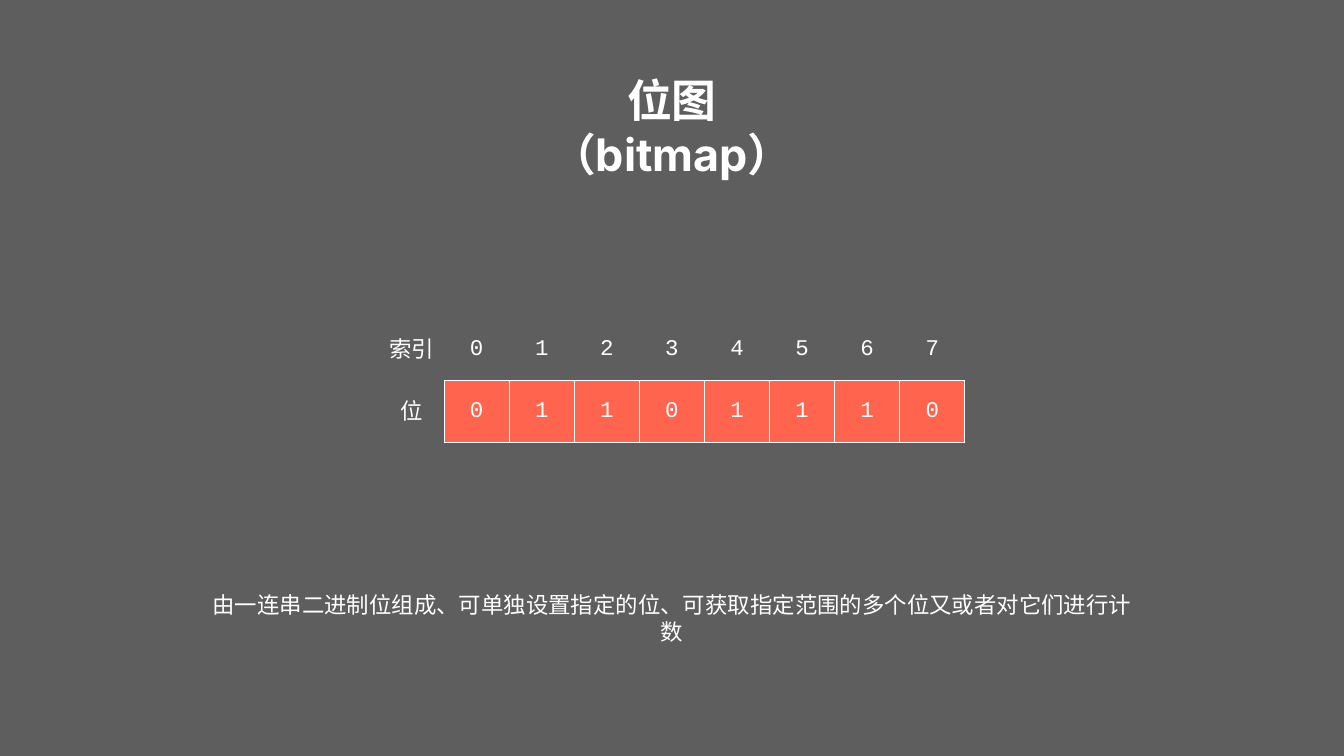
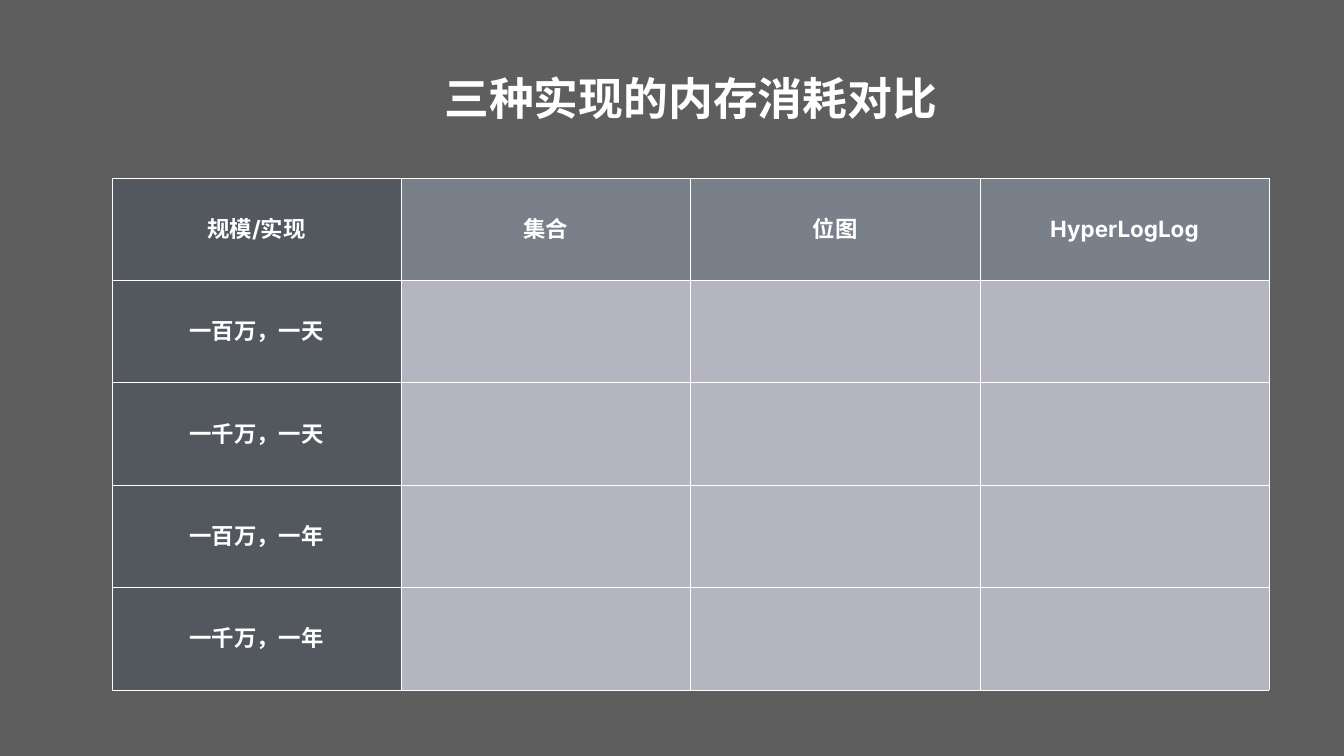
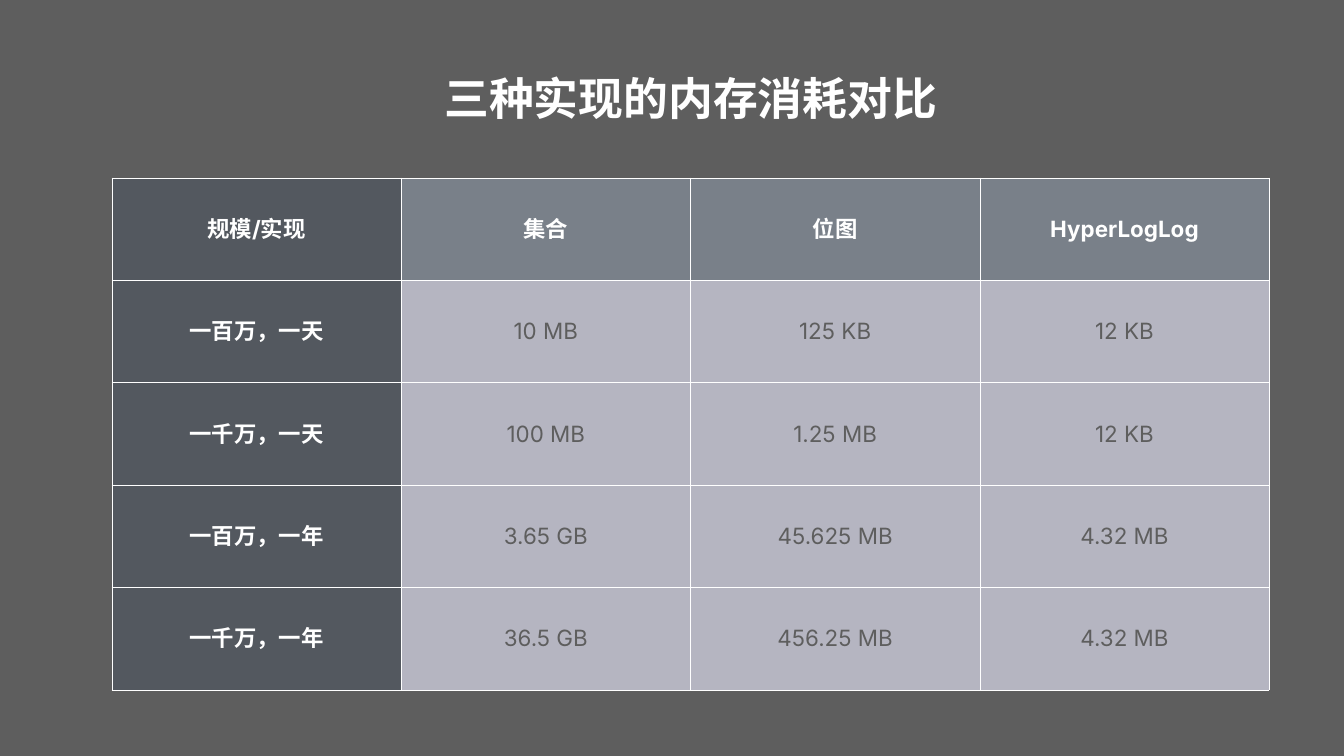
from dataclasses import dataclass

from pptx import Presentation
from pptx.dml.color import RGBColor
from pptx.enum.text import MSO_ANCHOR, MSO_AUTO_SIZE, PP_ALIGN
from pptx.oxml.ns import qn
from pptx.util import Cm, Pt
from lxml.etree import SubElement

# Content
BITMAP_TITLE = "位图（bitmap）"
BITMAP_ROWS = [
    ("索引", list("01234567")),
    ("位", list("01101110")),
]
BITMAP_CAPTION = "由一连串二进制位组成、可单独设置指定的位、可获取指定范围的多个位又或者对它们进行计数"

MEMORY_TITLE = "三种实现的内存消耗对比"
MEMORY_HEADER = ["规模/实现", "集合", "位图", "HyperLogLog"]
MEMORY_USAGE = {
    "一百万，一天": ["10 MB", "125 KB", "12 KB"],
    "一千万，一天": ["100 MB", "1.25 MB", "12 KB"],
    "一百万，一年": ["3.65 GB", "45.625 MB", "4.32 MB"],
    "一千万，一年": ["36.5 GB", "456.25 MB", "4.32 MB"],
}


# Theme
@dataclass(frozen=True)
class Theme:
    background: str = "5E5E5E"
    text: str = "FFFFFF"
    value_text: str = "5E5E5E"
    border: str = "FFFFFF"
    bit: str = "FF644E"
    header: str = "798089"
    row_label: str = "53585F"
    value: str = "B5B5C1"
    font: str = "Inter"
    digit_font: str = "Courier New"
    title_size: int = 64
    body_size: int = 32
    inset: float = 0.14
    border_width: float = 1


THEME = Theme()
SIDES = {"left": "a:lnL", "right": "a:lnR", "top": "a:lnT", "bottom": "a:lnB"}

# Positions in centimetres: left, top, width, height
BITMAP_TITLE_BOX = (25.45, 4.65, 16.81, 3.45)
BITMAP_CAPTION_BOX = (10.01, 30.2, 47.73, 1.88)
MEMORY_TITLE_BOX = (22.23, 3.18, 25.15, 3.45)
BITMAP_ORIGIN, BITMAP_CELL = (19.1, 16.05), (3.28, 3.11)
MEMORY_ORIGIN, MEMORY_CELL = (5.64, 8.97), (14.58, 5.16)


# Text
def write(paragraph, text, size=THEME.body_size, color=THEME.text, bold=False, font=THEME.font):
    paragraph.alignment = PP_ALIGN.CENTER
    run = paragraph.add_run()
    run.text = text
    run.font.size = Pt(size)
    run.font.bold = bold
    run.font.name = font
    run.font.color.rgb = RGBColor.from_string(color)
    SubElement(run.font._element, qn("a:ea"), typeface=font)


def set_margins(target):
    target.margin_left = target.margin_right = Cm(THEME.inset)
    target.margin_top = target.margin_bottom = Cm(THEME.inset)


def fill_text_shape(shape, text, **style):
    frame = shape.text_frame
    frame.word_wrap = False
    frame.auto_size = MSO_AUTO_SIZE.SHAPE_TO_FIT_TEXT
    frame.vertical_anchor = MSO_ANCHOR.MIDDLE
    set_margins(frame)
    write(frame.paragraphs[0], text, **style)


def add_titled_slide(presentation, title, box):
    slide = presentation.slides.add_slide(presentation.slide_layouts.get_by_name("Title Only"))
    shape = slide.shapes.title
    shape.left, shape.top, shape.width, shape.height = map(Cm, box)
    fill_text_shape(shape, title, size=THEME.title_size, bold=True)
    return slide


# Tables
def add_grid(slide, rows, columns, origin, cell_size):
    width, height = cell_size
    table = slide.shapes.add_table(
        rows, columns, *map(Cm, (*origin, width * columns, height * rows))
    ).table
    table.first_row = table.horz_banding = False
    for column in table.columns:
        column.width = Cm(width)
    for row in table.rows:
        row.height = Cm(height)
    return table


def format_cell(cell, fill=None, borders=tuple(SIDES)):
    cell.vertical_anchor = MSO_ANCHOR.MIDDLE
    set_margins(cell)
    properties = cell._tc.get_or_add_tcPr()
    for side, tag in SIDES.items():
        line = SubElement(properties, qn(tag), w=str(Pt(THEME.border_width)))
        if side in borders:
            solid = SubElement(line, qn("a:solidFill"))
            SubElement(solid, qn("a:srgbClr"), val=THEME.border)
        else:
            SubElement(line, qn("a:noFill"))
    if fill:
        cell.fill.solid()
        cell.fill.fore_color.rgb = RGBColor.from_string(fill)
    else:
        cell.fill.background()


def add_bitmap_table(slide):
    columns = 1 + len(BITMAP_ROWS[0][1])
    table = add_grid(slide, len(BITMAP_ROWS), columns, BITMAP_ORIGIN, BITMAP_CELL)
    for row, (label, digits) in enumerate(BITMAP_ROWS):
        is_bit_row = row == 1
        label_cell = table.cell(row, 0)
        format_cell(label_cell, borders=("right",) if is_bit_row else ())
        write(label_cell.text_frame.paragraphs[0], label)
        for column, digit in enumerate(digits, start=1):
            cell = table.cell(row, column)
            if is_bit_row:
                format_cell(cell, THEME.bit)
            else:
                format_cell(cell, borders=("bottom",))
            write(cell.text_frame.paragraphs[0], digit, font=THEME.digit_font)


def add_memory_table(slide, show_values):
    rows = [MEMORY_HEADER] + [[scale, *values] for scale, values in MEMORY_USAGE.items()]
    table = add_grid(slide, len(rows), len(MEMORY_HEADER), MEMORY_ORIGIN, MEMORY_CELL)
    for row, texts in enumerate(rows):
        for column, text in enumerate(texts):
            cell = table.cell(row, column)
            paragraph = cell.text_frame.paragraphs[0]
            if row == 0 or column == 0:
                format_cell(cell, THEME.row_label if column == 0 else THEME.header)
                write(paragraph, text, bold=True)
            else:
                format_cell(cell, THEME.value)
                if show_values:
                    write(paragraph, text, color=THEME.value_text)


# Slides
def main():
    presentation = Presentation()
    presentation.slide_width, presentation.slide_height = Cm(67.73), Cm(38.1)
    background = presentation.slide_master.background.fill
    background.solid()
    background.fore_color.rgb = RGBColor.from_string(THEME.background)

    bitmap_slide = add_titled_slide(presentation, BITMAP_TITLE, BITMAP_TITLE_BOX)
    add_bitmap_table(bitmap_slide)
    caption = bitmap_slide.shapes.add_textbox(*map(Cm, BITMAP_CAPTION_BOX))
    fill_text_shape(caption, BITMAP_CAPTION)

    for show_values in (False, True):
        memory_slide = add_titled_slide(presentation, MEMORY_TITLE, MEMORY_TITLE_BOX)
        add_memory_table(memory_slide, show_values)

    presentation.save("out.pptx")


if __name__ == "__main__":
    main()
